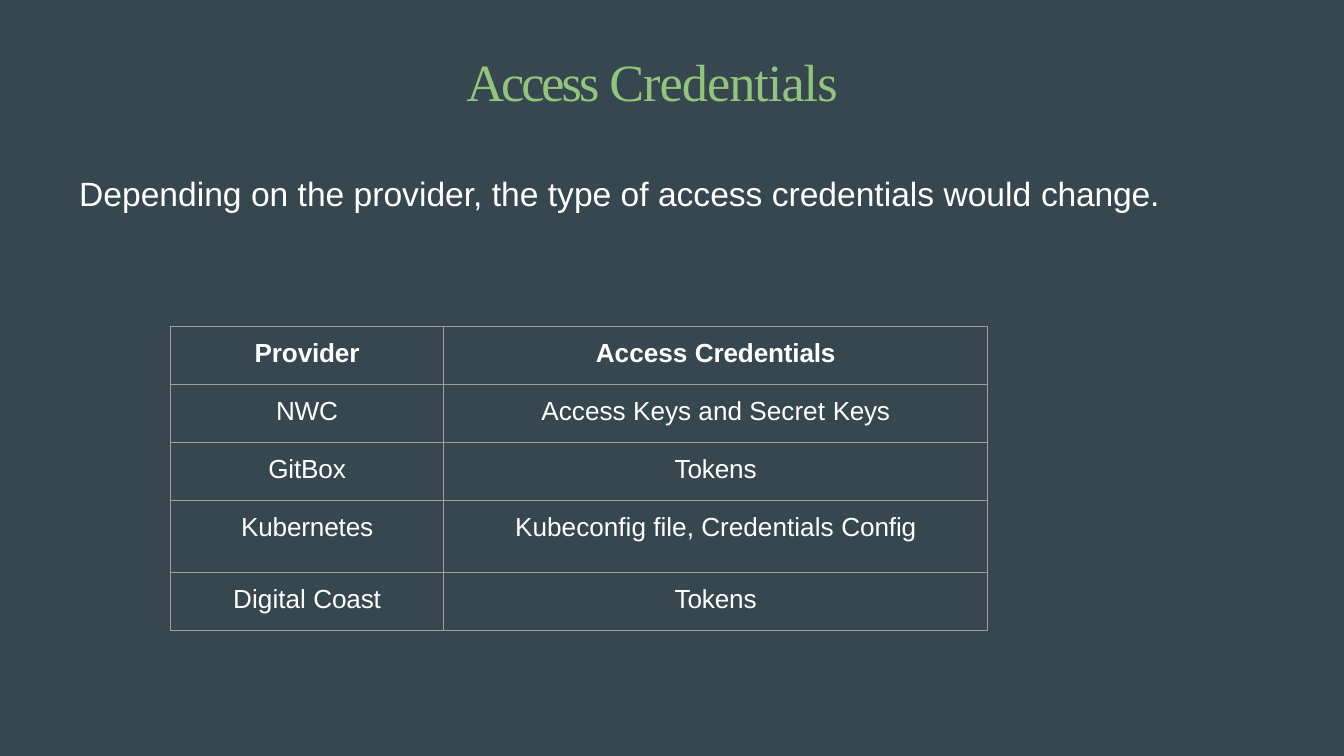
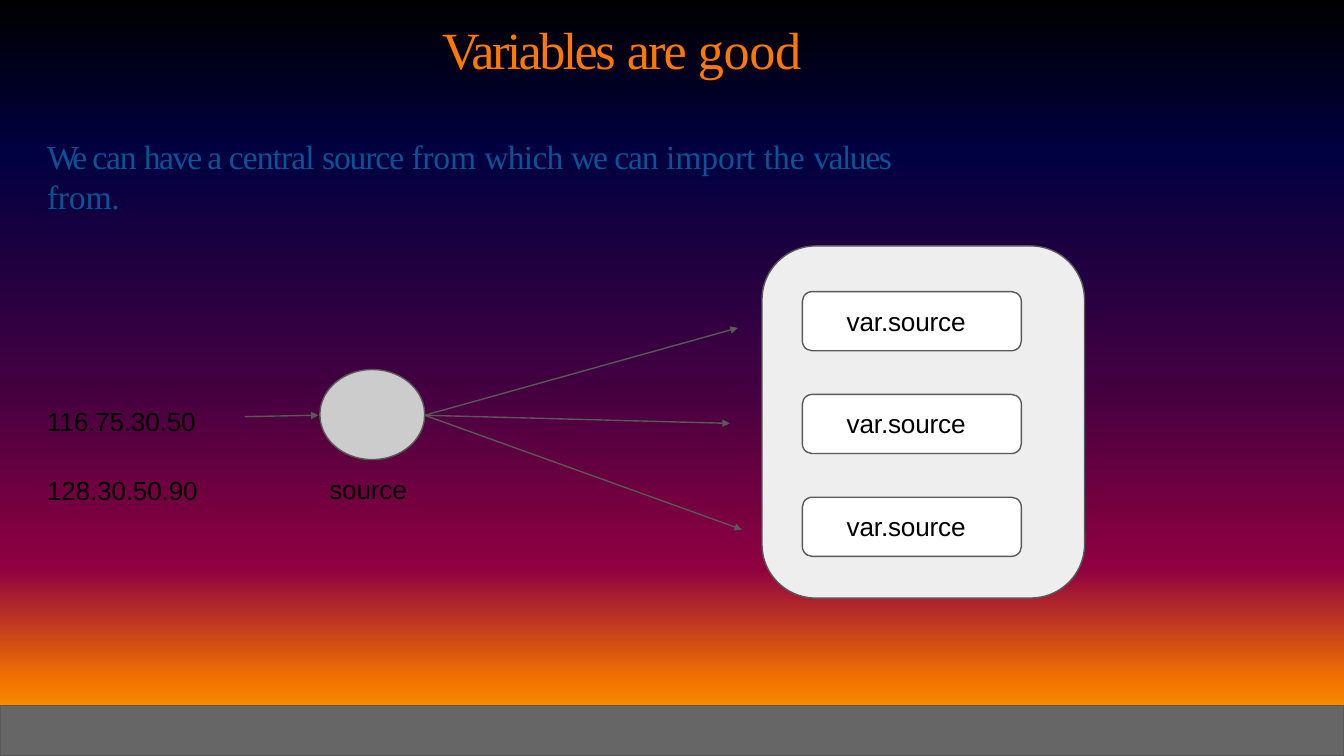
from dataclasses import dataclass

from lxml.etree import SubElement as Sub
from pptx import Presentation as Deck
from pptx.dml.color import RGBColor as RGB
from pptx.enum.shapes import MSO_CONNECTOR as Link, MSO_SHAPE as Kind
from pptx.enum.text import PP_ALIGN as Align
from pptx.oxml.ns import qn
from pptx.slide import Slide
from pptx.table import _Cell as Cell
from pptx.util import Emu, Inches, Pt

# Page and its grid of square cells
WIDE, HIGH = Inches(10), Inches(5.625)
COLS, ROWS = 100, 56.25

# Colours and fonts
BLACK, WHITE = RGB(0, 0, 0), RGB(255, 255, 255)
SLATE = RGB(0x37, 0x47, 0x4F)
GREEN = RGB(0x93, 0xC4, 0x7D)
ORANGE = RGB(0xFF, 0x79, 0x00)
BLUE = RGB(0x0B, 0x53, 0x94)
EDGE = RGB(0x59, 0x59, 0x59)
BAND = RGB(0x66, 0x66, 0x66)
RULE = RGB(0x9E, 0x9E, 0x9E)
DISC = RGB(0xCC, 0xCC, 0xCC)
CARD = RGB(0xEE, 0xEE, 0xEE)
SUNSET = ((0, BLACK), (20, RGB(0, 0, 0x40)), (50, RGB(0x40, 0, 0x40)),
          (75, RGB(0x8F, 0, 0x40)), (90, RGB(0xF2, 0x73, 0)),
          (100, RGB(0xFF, 0xBF, 0)))
SERIF, SANS = "Times New Roman", "Arial"
THIN = Pt(0.75)

# A run is its text and its letter spacing in points
Runs = tuple[tuple[str, float], ...]


@dataclass(frozen=True)
class Box:
    left: float
    top: float
    width: float
    height: float


@dataclass(frozen=True)
class Font:
    name: str
    size: float
    color: RGB
    bold: bool = False


@dataclass(frozen=True)
class Label:
    box: Box
    font: Font
    runs: Runs
    indent: float = 0.1
    drop: float = 0.1


@dataclass(frozen=True)
class Form:
    kind: Kind
    box: Box
    fill: RGB
    edge: bool = True


@dataclass(frozen=True)
class Arrow:
    x1: float
    y1: float
    x2: float
    y2: float


def col(n: float) -> Emu:
    return Emu(round(WIDE * n / COLS))


def row(n: float) -> Emu:
    return Emu(round(HIGH * n / ROWS))


def place(box: Box) -> tuple[Emu, Emu, Emu, Emu]:
    return col(box.left), row(box.top), col(box.width), row(box.height)


# Drawing
def write(para, runs: Runs, font: Font) -> None:
    for text, gap in runs:
        run = para.add_run()
        run.text = text
        run.font.name = font.name
        run.font.size = Pt(font.size)
        run.font.bold = font.bold
        run.font.color.rgb = font.color
        run.font._element.set("spc", str(round(gap * 100)))


def draw_label(slide: Slide, label: Label) -> None:
    frame = slide.shapes.add_textbox(*place(label.box)).text_frame
    frame.word_wrap = True
    frame.margin_left, frame.margin_top = col(label.indent), row(label.drop)
    frame.margin_right = frame.margin_bottom = 0
    write(frame.paragraphs[0], label.runs, label.font)


def draw_form(slide: Slide, form: Form) -> None:
    shape = slide.shapes.add_shape(form.kind, *place(form.box))
    shape.shadow.inherit = False
    shape.fill.solid()
    shape.fill.fore_color.rgb = form.fill
    if form.edge:
        shape.line.color.rgb = EDGE
        shape.line.width = THIN
    else:
        shape.line.fill.background()


def draw_arrow(slide: Slide, arrow: Arrow) -> None:
    link = slide.shapes.add_connector(
        Link.STRAIGHT, col(arrow.x1), row(arrow.y1), col(arrow.x2), row(arrow.y2))
    link.line.color.rgb = EDGE
    link.line.width = THIN
    Sub(link.line._get_or_add_ln(), qn("a:tailEnd"), type="triangle", w="sm", len="sm")
    Sub(link._element.spPr, qn("a:effectLst"))


def frame_cell(cell: Cell) -> None:
    props = cell._tc.get_or_add_tcPr()
    for side in ("lnL", "lnR", "lnT", "lnB"):
        line = Sub(props, qn(f"a:{side}"), w=str(THIN))
        Sub(Sub(line, qn("a:solidFill")), qn("a:srgbClr"), val=str(RULE))
    cell.fill.background()


def draw_table(slide: Slide, box: Box, widths: tuple[float, ...],
               heights: tuple[float, ...], data: tuple[tuple[Runs, ...], ...]) -> None:
    table = slide.shapes.add_table(len(data), len(widths), *place(box)).table
    table.first_row = table.horz_banding = False
    for part, width in zip(table.columns, widths):
        part.width = col(width)
    for r, (line, height) in enumerate(zip(data, heights)):
        table.rows[r].height = row(height)
        font = Font(SANS, 14, WHITE, bold=r == 0)
        for c, runs in enumerate(line):
            cell = table.cell(r, c)
            frame_cell(cell)
            cell.margin_left = cell.margin_right = cell.margin_bottom = 0
            cell.margin_top = row(0.9)
            para = cell.text_frame.paragraphs[0]
            para.alignment = Align.CENTER
            write(para, runs, font)


def new_slide(deck: Deck) -> Slide:
    slide = deck.slides.add_slide(deck.slide_layouts[6])
    fill = slide.background.fill
    fill.gradient()
    fill.gradient_angle = 270
    stops = fill._fill._gradFill.find(qn("a:gsLst"))
    stops[:] = []
    for share, color in SUNSET:
        stop = Sub(stops, qn("a:gs"), pos=str(share * 1000))
        Sub(stop, qn("a:srgbClr"), val=str(color))
    return slide


# Slide 1: table of providers
def build_access(deck: Deck) -> None:
    slide = new_slide(deck)
    draw_form(slide, Form(Kind.RECTANGLE, Box(0, 0, COLS, ROWS), SLATE, edge=False))
    draw_label(slide, Label(
        Box(2.4, 0.6, 87.6, 8), Font(SERIF, 28, GREEN),
        (("Access ", -1.6), ("Credentials", -0.5)), indent=32.3, drop=3.1))
    draw_label(slide, Label(
        Box(5.8, 12.8, 80.7, 3.3), Font(SANS, 18, WHITE),
        (("Depending on the provider, the type of access credentials would ", 0),
         ("change.", -0.1))))
    tokens = (("Tokens", -0.1),)
    data = (
        ((("Provider", -0.1),), (("Access ", 0), ("Credentials", -0.1))),
        ((("NWC", -0.2),), (("Access Keys and Secret ", 0), ("Keys", -0.2))),
        ((("GitBox", -0.1),), tokens),
        ((("Kubernetes", -0.1),),
         (("Kubeconfig file, Credentials ", 0), ("Config", -0.1))),
        ((("Digital ", 0), ("Coast", -0.1)), tokens),
    )
    draw_table(slide, Box(12.7, 24.3, 60.8, 22.6), (20.3, 40.5),
               (4.32, 4.32, 4.32, 5.32, 4.32), data)


# Slide 2: one source feeds many values
def build_source(deck: Deck) -> None:
    slide = new_slide(deck)
    draw_label(slide, Label(
        Box(32.8, 1.2, 26.9, 4.9), Font(SERIF, 28, ORANGE),
        (("Variables", -1.4), (" are ", -1), ("good", -0.2))))
    draw_form(slide, Form(Kind.RECTANGLE, Box(0, 52.5, COLS, ROWS - 52.5), BAND))
    draw_label(slide, Label(
        Box(3.4, 10, 68.5, 3.3), Font(SERIF, 18, BLUE),
        (("We ", -1.9), ("can ", -0.6), ("have a ", -0.9), ("central ", -0.5),
         ("source ", -0.6), ("from ", -0.1), ("which ", -0.4), ("we ", -1.2),
         ("can ", -0.6), ("import the ", 0), ("values ", -0.8), ("from.", -0.1))))

    # Source disc and its arrows
    hub_x, hub_y = 31.6, 30.9
    draw_form(slide, Form(Kind.OVAL, Box(23.8, 27.5, 7.8, 6.7), DISC))
    draw_arrow(slide, Arrow(18.2, 31, 23.7, hub_y))
    for tip_x, tip_y in ((54.9, 24.4), (54.3, 31.5), (55.2, 39.4)):
        draw_arrow(slide, Arrow(hub_x, hub_y, tip_x, tip_y))

    # Labels on the left
    plain = Font(SANS, 14, BLACK)
    for text, left, top, width in (("source", 24.4, 35.1, 6.1),
                                   ("116.75.30.50", 3.4, 30.1, 11.6),
                                   ("128.30.50.90", 3.4, 35.2, 11.6)):
        draw_label(slide, Label(Box(left, top, width, 2.6), plain, ((text, -0.1),)))

    # Card with its stack of values
    draw_form(slide, Form(Kind.ROUNDED_RECTANGLE, Box(56.7, 18.3, 24, 26.2), CARD))
    for i in range(3):
        top = 21.7 + 7.65 * i
        draw_form(slide, Form(Kind.ROUNDED_RECTANGLE, Box(59.7, top, 16.3, 4.4), WHITE))
        draw_label(slide, Label(Box(62.9, top + 0.9, 9.2, 2.6), plain,
                                (("var.source", -0.1),)))


def main() -> None:
    deck = Deck()
    deck.slide_width, deck.slide_height = WIDE, HIGH
    build_access(deck)
    build_source(deck)
    deck.save("out.pptx")


if __name__ == "__main__":
    main()
